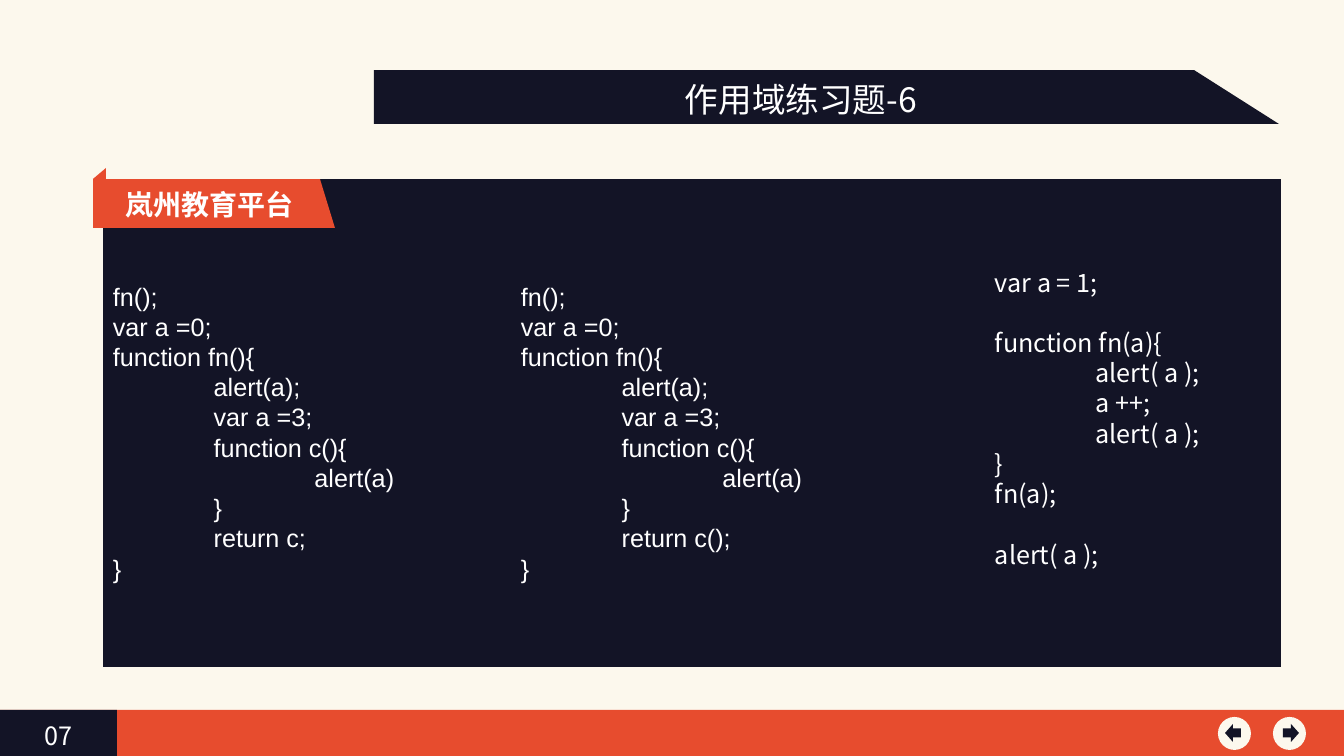
from lxml import etree
from pptx import Presentation
from pptx.dml.color import RGBColor
from pptx.enum.shapes import MSO_SHAPE
from pptx.oxml.ns import qn
from pptx.util import Emu, Pt

RECT = MSO_SHAPE.RECTANGLE
OVAL = MSO_SHAPE.OVAL
TRIANGLE = MSO_SHAPE.RIGHT_TRIANGLE
LEFT_ARROW = MSO_SHAPE.LEFT_ARROW
RIGHT_ARROW = MSO_SHAPE.RIGHT_ARROW

SCALE = 9076
WIDTH, HEIGHT = 1344, 756
TAB_INCH = 914400
LINE_FACTOR = 1.2
CREAM, ORANGE, NAVY, WHITE = "FCF8ED", "E74C2E", "131426", "FFFFFF"
SANS, ARIAL = "Noto Sans CJK SC", "Arial"

TITLE = "作用域练习题-6"
PLATFORM = "岚州教育平台"
PAGE_NUMBER = "07"

CLOSURE_CODE = """fn();
var a =0;
function fn(){
\talert(a);
\tvar a =3;
\tfunction c(){
\t\talert(a)
\t}
\treturn {result};
}"""
PARAMETER_CODE = """var a = 1;

function fn(a){
\talert( a );
\ta ++;
\talert( a );
}
fn(a);

alert( a );"""

PANELS = [
    (RECT, 0, 710, WIDTH, 46, ORANGE),
    (RECT, 0, 710, 117, 46, NAVY),
    (RECT, 103, 179, 1178, 488, NAVY),
    (RECT, 374, 70, 820, 54, NAVY),
    (TRIANGLE, 1194, 70, 85, 54, NAVY),
    (RECT, 93, 179, 227, 49, ORANGE),
    (TRIANGLE, 320, 179, 15, 49, ORANGE),
]
TAG_FOLD = (TRIANGLE, 93, 168, 13, 11, ORANGE)
NAV_BUTTONS = [(1218, LEFT_ARROW, 7), (1273, RIGHT_ARROW, 10)]

TEXTS = [
    (TITLE, 675, 74, 440, 50, 24, SANS, False),
    (PAGE_NUMBER, 35, 715, 70, 40, 18, SANS, False),
    (PLATFORM, 116, 183, 200, 44, 20, SANS, True),
    (CLOSURE_CODE.replace("{result}", "c"), 103, 276, 321, 312, 18, ARIAL, False),
    (CLOSURE_CODE.replace("{result}", "c()"), 511, 276, 321, 312, 18, ARIAL, False),
    (PARAMETER_CODE, 985, 262, 240, 312, 18, SANS, False),
]


def px(value):
    return Emu(value * SCALE)


def color(hex_code):
    return RGBColor.from_string(hex_code)


def add_panel(slide, kind, left, top, width, height, fill):
    panel = slide.shapes.add_shape(kind, px(left), px(top), px(width), px(height))
    panel.shadow.inherit = False
    panel.fill.solid()
    panel.fill.fore_color.rgb = color(fill)
    panel.line.fill.background()
    return panel


def add_tabs(paragraph):
    tabs = etree.SubElement(paragraph._p.get_or_add_pPr(), qn("a:tabLst"))
    for step in (1, 2):
        etree.SubElement(tabs, qn("a:tab"), pos=str(step * TAB_INCH), algn="l")


def add_lines(slide, content, left, top, width, height, size, face, bold):
    box = slide.shapes.add_textbox(px(left), px(top), px(width), px(height))
    frame = box.text_frame
    frame.word_wrap = True
    pitch = size * LINE_FACTOR
    paragraph, gap = None, 0
    for line in content.split("\n"):
        if not line:
            gap += pitch
            continue
        paragraph = frame.add_paragraph() if paragraph else frame.paragraphs[0]
        if "\t" in line:
            add_tabs(paragraph)
        paragraph.line_spacing = Pt(pitch)
        if gap:
            paragraph.space_before = Pt(gap)
            gap = 0
        run = paragraph.add_run()
        run.text = line
        run.font.size = Pt(size)
        run.font.bold = bold
        run.font.color.rgb = color(WHITE)
        run.font.name = face
        etree.SubElement(run._r.get_or_add_rPr(), qn("a:ea"), typeface=face)


def main():
    deck = Presentation()
    deck.slide_width, deck.slide_height = px(WIDTH), px(HEIGHT)
    slide = deck.slides.add_slide(deck.slide_layouts[6])
    slide.background.fill.solid()
    slide.background.fill.fore_color.rgb = color(CREAM)

    for panel in PANELS:
        add_panel(slide, *panel)
    fold = add_panel(slide, *TAG_FOLD)
    fold._element.spPr.xfrm.set("flipH", "1")
    for left, arrow, inset in NAV_BUTTONS:
        add_panel(slide, OVAL, left, 717, 33, 33, CREAM)
        add_panel(slide, arrow, left + inset, 724, 16, 18, NAVY)
    for text in TEXTS:
        add_lines(slide, *text)

    deck.save("out.pptx")


if __name__ == "__main__":
    main()
